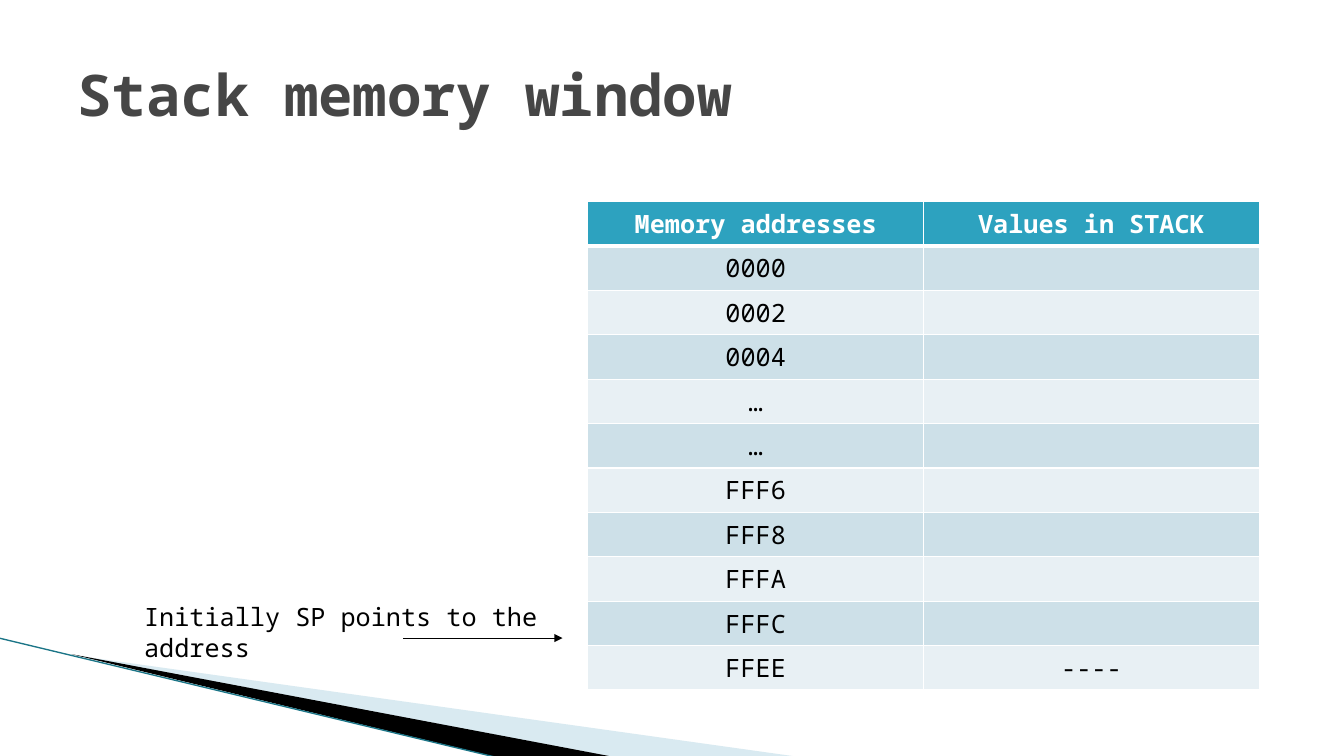
"""Build the stack memory window slide."""
from lxml.etree import SubElement
from pptx import Presentation
from pptx.dml.color import RGBColor
from pptx.enum.shapes import MSO_CONNECTOR
from pptx.enum.text import MSO_ANCHOR, PP_ALIGN
from pptx.oxml.ns import qn
from pptx.util import Inches, Pt

WHITE = RGBColor(0xFF, 0xFF, 0xFF)
BLACK = RGBColor(0x00, 0x00, 0x00)
TITLE_GREY = RGBColor(0x46, 0x46, 0x46)
HEADER_TEAL = RGBColor(0x2D, 0xA2, 0xBF)
EDGE_TEAL = RGBColor(0x1B, 0x75, 0x87)
WEDGE_BLUE = RGBColor(0xA0, 0xCB, 0xDC)
BAND_DARK = RGBColor(0xCD, 0xE0, 0xE8)
BAND_LIGHT = RGBColor(0xE8, 0xF0, 0xF4)
FONT = "Noto Sans Mono"
ROW_HEIGHT = 0.44


def write(text_frame, text, size, color, bold=False, align=PP_ALIGN.LEFT):
    paragraph = text_frame.paragraphs[0]
    paragraph.alignment = align
    run = paragraph.add_run()
    run.text = text
    run.font.color.rgb = color
    for name, value in {"name": FONT, "size": Pt(size), "bold": bold}.items():
        setattr(run.font, name, value)


def add_line(start, end, color, width):
    line = slide.shapes.add_connector(
        MSO_CONNECTOR.STRAIGHT, *map(Inches, start + end))
    line.line.color.rgb = color
    line.line.width = Pt(width)
    SubElement(line._element.spPr, qn("a:effectLst"))
    return line


presentation = Presentation()
presentation.slide_width = Inches(13.33)
presentation.slide_height = Inches(7.5)
slide = presentation.slides.add_slide(presentation.slide_layouts[6])

wedges = [
    (WEDGE_BLUE, 40, [(0.73, 6.5), (7.93, 7.51), (6.08, 7.51)]),
    (BLACK, 100, [(0.71, 6.49), (6.09, 7.51), (4.96, 7.52)]),
]
for color, opacity, points in wedges:
    corners = [(Inches(x), Inches(y)) for x, y in points]
    builder = slide.shapes.build_freeform(*corners[0])
    builder.add_line_segments(corners[1:], close=True)
    wedge = builder.convert_to_shape()
    wedge.shadow.inherit = False
    wedge.fill.solid()
    wedge.fill.fore_color.rgb = color
    wedge.line.fill.background()
    fill_color = wedge._element.spPr.find(qn("a:solidFill"))[0]
    SubElement(fill_color, qn("a:alpha"), val=str(opacity * 1000))
add_line((-0.01, 6.33), (4.95, 7.52), EDGE_TEAL, 0.95)

addresses = ["0000", "0002", "0004", "…", "…", "FFF6", "FFF8", "FFFA", "FFFC", "FFEE"]
rows = [("Memory addresses", "Values in STACK")]
rows += [(address, "----" if address == "FFEE" else "") for address in addresses]
table = slide.shapes.add_table(
    len(rows), 2, Inches(5.83), Inches(2), Inches(6.66),
    Inches(ROW_HEIGHT * len(rows))).table
for row_index, values in enumerate(rows):
    table.rows[row_index].height = Inches(ROW_HEIGHT)
    header = row_index == 0
    band = BAND_DARK if row_index % 2 else BAND_LIGHT
    for column_index, text in enumerate(values):
        cell = table.cell(row_index, column_index)
        if text:
            write(cell.text_frame, text, 18, WHITE if header else BLACK,
                  header, PP_ALIGN.CENTER)
        properties = cell._tc.get_or_add_tcPr()
        for side in "LRTB":
            thick = (header and side == "B") or (row_index == 1 and side == "T")
            border = SubElement(properties, qn(f"a:ln{side}"),
                                w=str(Pt(3 if thick else 1)))
            SubElement(SubElement(border, qn("a:solidFill")),
                       qn("a:srgbClr"), val=str(WHITE))
        cell.fill.solid()
        cell.fill.fore_color.rgb = HEADER_TEAL if header else band

title = slide.shapes.add_textbox(*map(Inches, (0.67, 0.3, 12, 1.25)))
title.text_frame.word_wrap = True
title.text_frame.vertical_anchor = MSO_ANCHOR.MIDDLE
write(title.text_frame, "Stack memory window", 41, TITLE_GREY, bold=True)

pointer = add_line((4, 6.33), (5.58, 6.33), BLACK, 0.75)
SubElement(pointer.line._get_or_add_ln(), qn("a:tailEnd"), type="triangle")

pointer_label = slide.shapes.add_textbox(*map(Inches, (1.33, 5.92, 4.25, 0.4)))
pointer_label.text_frame.word_wrap = True
write(pointer_label.text_frame, "Initially SP points to the address", 18, BLACK)

presentation.save("out.pptx")
